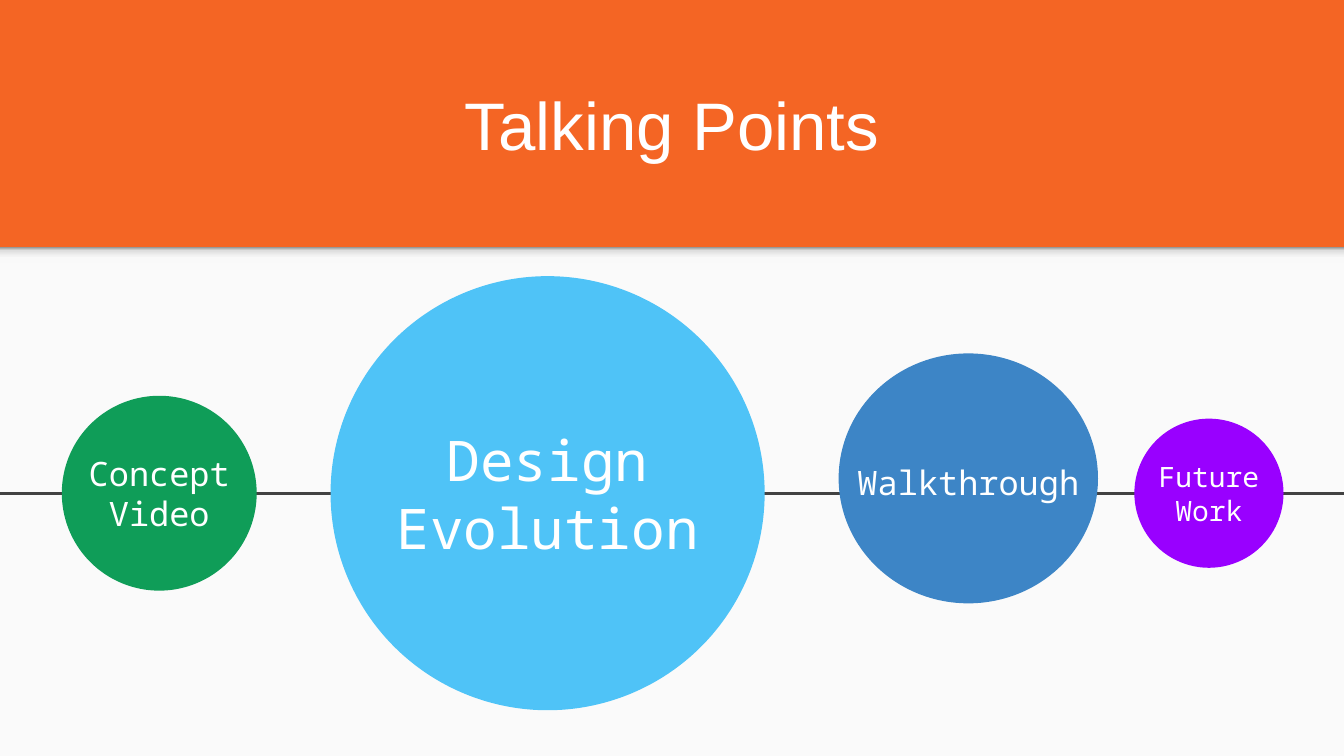
from typing import NamedTuple

from lxml import etree
from pptx import Presentation
from pptx.dml.color import RGBColor
from pptx.enum.shapes import MSO_CONNECTOR, MSO_SHAPE
from pptx.enum.text import MSO_ANCHOR, MSO_AUTO_SIZE, PP_ALIGN
from pptx.oxml import parse_xml
from pptx.oxml.ns import nsdecls, qn
from pptx.util import Inches, Pt

RECT, OVAL = MSO_SHAPE.RECTANGLE, MSO_SHAPE.OVAL
STRAIGHT = MSO_CONNECTOR.STRAIGHT
MIDDLE, BOTTOM = MSO_ANCHOR.MIDDLE, MSO_ANCHOR.BOTTOM
CENTER = PP_ALIGN.CENTER
NO_FIT = MSO_AUTO_SIZE.NONE

ORANGE = RGBColor(0xF4, 0x65, 0x24)
PAPER = RGBColor(0xFA, 0xFA, 0xFA)
GREY = RGBColor(0x42, 0x42, 0x42)
WHITE = RGBColor(0xFF, 0xFF, 0xFF)
GREEN = RGBColor(0x0F, 0x9D, 0x58)
SKY = RGBColor(0x4F, 0xC3, 0xF7)
BLUE = RGBColor(0x3D, 0x85, 0xC6)
VIOLET = RGBColor(0x99, 0x00, 0xFF)

# Lengths in inches, on a 16:9 slide
WIDTH = 10
HEIGHT = WIDTH * 9 / 16
EDGE = 1.84   # lower edge of the header band
AXIS = 3.67   # height of the time line
LABEL = 0.66  # height of a label box
SHADE = [(0, "F9F9F9"), (36, "F9F9F9"), (80, "DEDEDE"), (100, "999999")]


class Topic(NamedTuple):
    text: str
    left: float
    wide: float
    high: float
    size: int
    color: RGBColor
    lift: float = 0        # circle centre above the axis
    text_lift: float = 0   # label centre above the axis


TOPICS = [
    Topic("Concept Video", 0.46, 1.45, 1.45, 18, GREEN),
    Topic("Design Evolution", 2.46, 3.23, 3.23, 30, SKY),
    Topic("Walkthrough", 6.24, 1.93, 1.86, 18, BLUE, 0.11, 0.08),
    Topic("Future Work", 8.44, 1.11, 1.11, 15, VIOLET),
]


def add_plain(slide, kind, left: float, top: float, wide: float, high: float):
    shape = slide.shapes.add_shape(
        kind, Inches(left), Inches(top), Inches(wide), Inches(high))
    shape.shadow.inherit = False
    shape.line.fill.background()
    return shape


def add_solid(slide, kind, left: float, top: float, wide: float, high: float,
              color: RGBColor) -> None:
    shape = add_plain(slide, kind, left, top, wide, high)
    shape.fill.solid()
    shape.fill.fore_color.rgb = color


def add_shade(slide) -> None:
    shape = add_plain(slide, RECT, 0, EDGE, WIDTH, 0.12)
    stops = "".join(
        f'<a:gs pos="{pos * 1000}"><a:srgbClr val="{color}"/></a:gs>'
        for pos, color in SHADE)
    fill = parse_xml(
        f'<a:gradFill {nsdecls("a")}><a:gsLst>{stops}</a:gsLst>'
        '<a:lin ang="16200000" scaled="0"/></a:gradFill>')
    shape._element.spPr.find(qn("a:prstGeom")).addnext(fill)


def add_axis(slide) -> None:
    line = slide.shapes.add_connector(
        STRAIGHT, 0, Inches(AXIS), Inches(WIDTH), Inches(AXIS))
    line.line.color.rgb = GREY
    line.line.width = Pt(1.5)
    etree.SubElement(line._element.spPr, qn("a:effectLst"))


def set_text(shape, text: str, size: int, font: str, anchor) -> None:
    frame = shape.text_frame
    frame.word_wrap = True
    frame.auto_size = NO_FIT
    frame.vertical_anchor = anchor
    frame.margin_left = frame.margin_right = Inches(0.1)
    frame.margin_top = frame.margin_bottom = Inches(0.1)
    para = frame.paragraphs[0]
    para.alignment = CENTER
    run = para.add_run()
    run.text = text
    run.font.name = font
    run.font.size = Pt(size)
    run.font.color.rgb = WHITE


def add_topic(slide, topic: Topic) -> None:
    top = AXIS - topic.lift - topic.high / 2
    add_solid(slide, OVAL, topic.left, top, topic.wide, topic.high, topic.color)
    top = AXIS - topic.text_lift - LABEL / 2
    box = slide.shapes.add_textbox(
        Inches(topic.left), Inches(top), Inches(topic.wide), Inches(LABEL))
    set_text(box, topic.text, topic.size, "Noto Sans Mono", MIDDLE)


def main() -> None:
    deck = Presentation()
    deck.slide_width, deck.slide_height = Inches(WIDTH), Inches(HEIGHT)
    slide = deck.slides.add_slide(deck.slide_layouts[5])

    # Header colour, body panel and its soft edge
    slide.background.fill.solid()
    slide.background.fill.fore_color.rgb = ORANGE
    add_solid(slide, RECT, 0, EDGE, WIDTH, HEIGHT - EDGE, PAPER)
    add_shade(slide)

    # Title
    title = slide.shapes.title
    title.left, title.top = Inches(0.5), 0
    title.width, title.height = Inches(WIDTH - 1), Inches(1.32)
    set_text(title, "Talking Points", 36, "Arial", BOTTOM)

    # Time line with its topics
    add_axis(slide)
    for topic in TOPICS:
        add_topic(slide, topic)

    deck.save("out.pptx")


if __name__ == "__main__":
    main()
